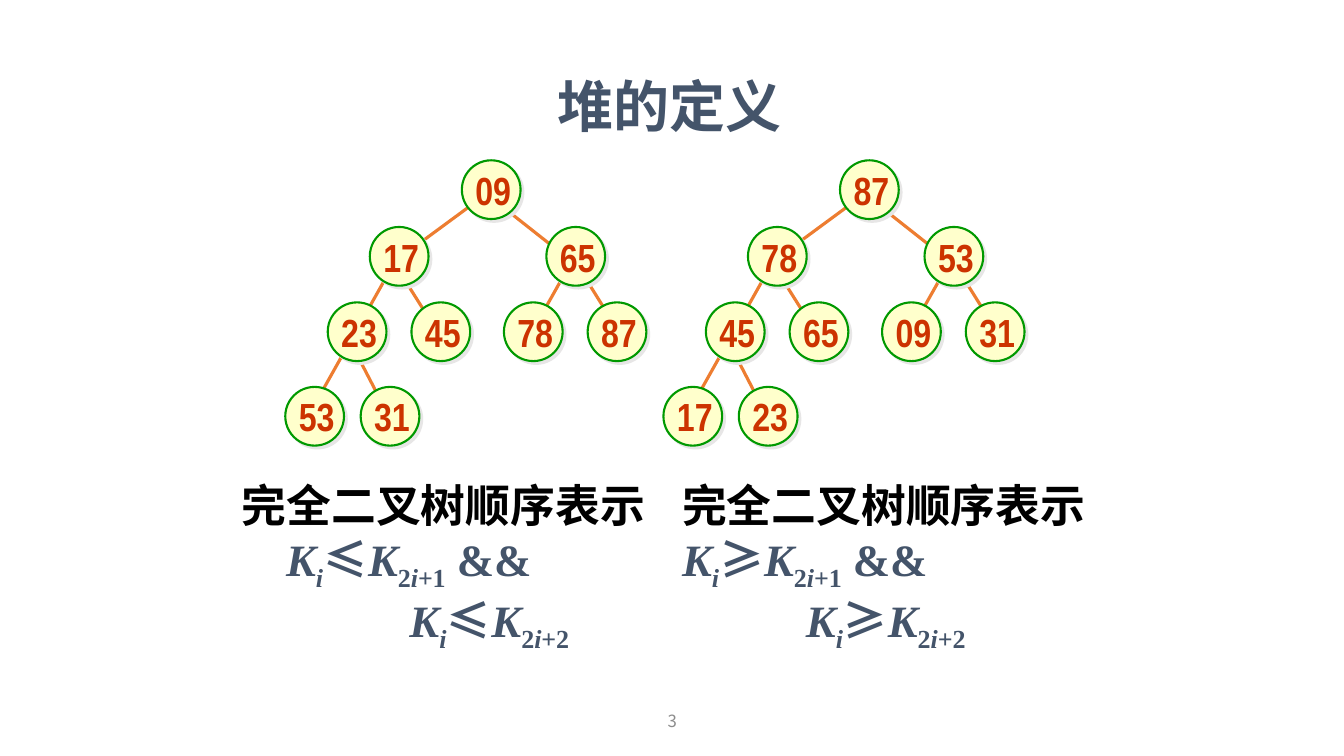
import pptx
import pptx.util
import pptx.dml.color
import pptx.enum.shapes
import pptx.enum.text
import pptx.oxml
import pptx.oxml.ns

Cm, Pt = pptx.util.Cm, pptx.util.Pt
ALIGN = pptx.enum.text.PP_ALIGN
ANCHOR = pptx.enum.text.MSO_ANCHOR
SHAPE = pptx.enum.shapes.MSO_SHAPE
LINE = pptx.enum.shapes.MSO_CONNECTOR

CJK, SERIF, NARROW = "Noto Sans CJK SC", "Times New Roman", "Arial Narrow"
COLORS = {"slate": "44546A", "black": "000000", "grey": "8C8C8C", "edge": "ED7D31",
          "fill": "FFFFCC", "rim": "009900", "key": "CC3300", "shade": "E7E6E6"}

TITLE = "堆的定义"
PAGE = "3"
HEAD = "完全二叉树顺序表示"

# Keys in level order, with the left edge of each tree
TREES = [
    (7.19, ["09", "17", "65", "23", "45", "78", "87", "53", "31"]),
    (16.72, ["87", "78", "53", "45", "65", "09", "31", "17", "23"]),
]
# Left and top of each node; x counts from the left edge of the tree
NODES = [(4.45, 4.04), (2.13, 5.72), (6.58, 5.72),
         (1.07, 7.62), (3.18, 7.62), (5.51, 7.62), (7.62, 7.62),
         (0, 9.75), (1.9, 9.75)]
# The long left edge runs behind the node between its ends
EDGES = [((6.99, 6.99), (6.15, 8.48)), ((7.42, 6.78), (8.48, 8.48)),
         ((2.97, 6.99), (4.04, 8.69)), ((1.9, 9.12), (2.77, 10.8)),
         ((2.77, 6.58), (0.63, 10.39)), ((5.31, 5.08), (7.21, 6.58)),
         ((5.08, 4.88), (2.77, 6.58))]
SIZE = 1.48

# Left edge, relation, indents of the two formula lines
RULES = [(5.84, "≤", (1.12, 4.23)), (16.94, "≥", (0, 3.12))]
TAILS = [("+1", " &&"), ("+2", "")]


def style(run, size, font, color, bold=True, slant=False, sub=False):
    run.font.size, run.font.name = Pt(size), font
    run.font.bold, run.font.italic = bold, slant
    run.font.color.rgb = pptx.dml.color.RGBColor.from_string(COLORS[color])
    props = run.font._element
    for tag in ("a:ea", "a:sym") if font == CJK else ("a:ea",):
        face = props.makeelement(pptx.oxml.ns.qn(tag), {"typeface": font})
        props.append(face)
    if sub:
        props.set("baseline", "-25000")


def label(slide, box, text, size, color, bold):
    """Add one centred line of text in a box."""
    frame = slide.shapes.add_textbox(*map(Cm, box)).text_frame
    frame.word_wrap = True
    frame.vertical_anchor = ANCHOR.MIDDLE
    par = frame.paragraphs[0]
    par.text, par.alignment = text, ALIGN.CENTER
    style(par.runs[0], size, CJK, color, bold)
    return par


def shade(shape):
    """Give the shape a hard shadow to the lower right."""
    shape.shadow.inherit = False
    space = pptx.oxml.ns.nsdecls("a")
    list_ = shape._element.spPr.find(pptx.oxml.ns.qn("a:effectLst"))
    list_.append(pptx.oxml.parse_xml(
        f'<a:outerShdw {space} dist="35921" dir="2700000" algn="ctr" rotWithShape="0">'
        f'<a:srgbClr val="{COLORS["shade"]}"/></a:outerShdw>'))


def edge(slide, left, start, end):
    ends = [Cm(n) for x, y in (start, end) for n in (left + x, y)]
    line = slide.shapes.add_connector(LINE.STRAIGHT, *ends)
    line.line.width = Pt(2.25)
    line.line.color.rgb = pptx.dml.color.RGBColor.from_string(COLORS["edge"])
    props = line._element.spPr
    props.append(props.makeelement(pptx.oxml.ns.qn("a:effectLst"), {}))


def node(slide, x, y, key):
    disc = slide.shapes.add_shape(SHAPE.OVAL, Cm(x), Cm(y), Cm(SIZE), Cm(SIZE))
    disc.fill.solid()
    disc.fill.fore_color.rgb = pptx.dml.color.RGBColor.from_string(COLORS["fill"])
    disc.line.width = Pt(1.5)
    disc.line.color.rgb = pptx.dml.color.RGBColor.from_string(COLORS["rim"])
    shade(disc)
    frame = disc.text_frame
    frame.word_wrap = False
    frame.vertical_anchor = ANCHOR.MIDDLE
    frame.margin_left = Cm(0.1)
    frame.margin_right = frame.margin_top = frame.margin_bottom = 0
    par = frame.paragraphs[0]
    par.text, par.alignment = key, ALIGN.CENTER
    style(par.runs[0], 28, NARROW, "key")


def rule(slide, left, sign, shifts):
    """Add the heading and the two formula lines under one tree."""
    frame = slide.shapes.add_textbox(Cm(left), Cm(11.91), Cm(10.82), Cm(4.37)).text_frame
    frame.word_wrap = False
    frame.text = HEAD
    style(frame.paragraphs[0].runs[0], 32, CJK, "black")
    for shift, (tail, join) in zip(shifts, TAILS):
        par = frame.add_paragraph()
        par._p.get_or_add_pPr().set("marL", str(Cm(shift)))
        # Text, font, italic, subscript
        parts = [("K", SERIF, True, False), ("i", SERIF, True, True),
                 (sign, CJK, False, False), ("K", SERIF, True, False),
                 ("2", SERIF, False, True), ("i", SERIF, True, True),
                 (tail, SERIF, False, True), (join, SERIF, False, False)]
        for text, font, slant, sub in parts:
            if text:
                run = par.add_run()
                run.text = text
                style(run, 32, font, "slate", True, slant, sub)


def main():
    deck = pptx.Presentation()
    deck.slide_width, deck.slide_height = Cm(33.87), Cm(19.05)
    slide = deck.slides.add_slide(deck.slide_layouts[6])
    label(slide, (11.23, 17.65, 11.43, 1.02), PAGE, 12, "grey", False)
    for item in RULES:
        rule(slide, *item)
    for left, keys in TREES:
        for start, end in EDGES:
            edge(slide, left, start, end)
        for (x, y), key in zip(NODES, keys):
            node(slide, left + x, y, key)
    title = label(slide, (5.44, 1.47, 22.86, 2.57), TITLE, 40, "slate", True)
    title.line_spacing = 0.9
    deck.save("out.pptx")


if __name__ == "__main__":
    main()
